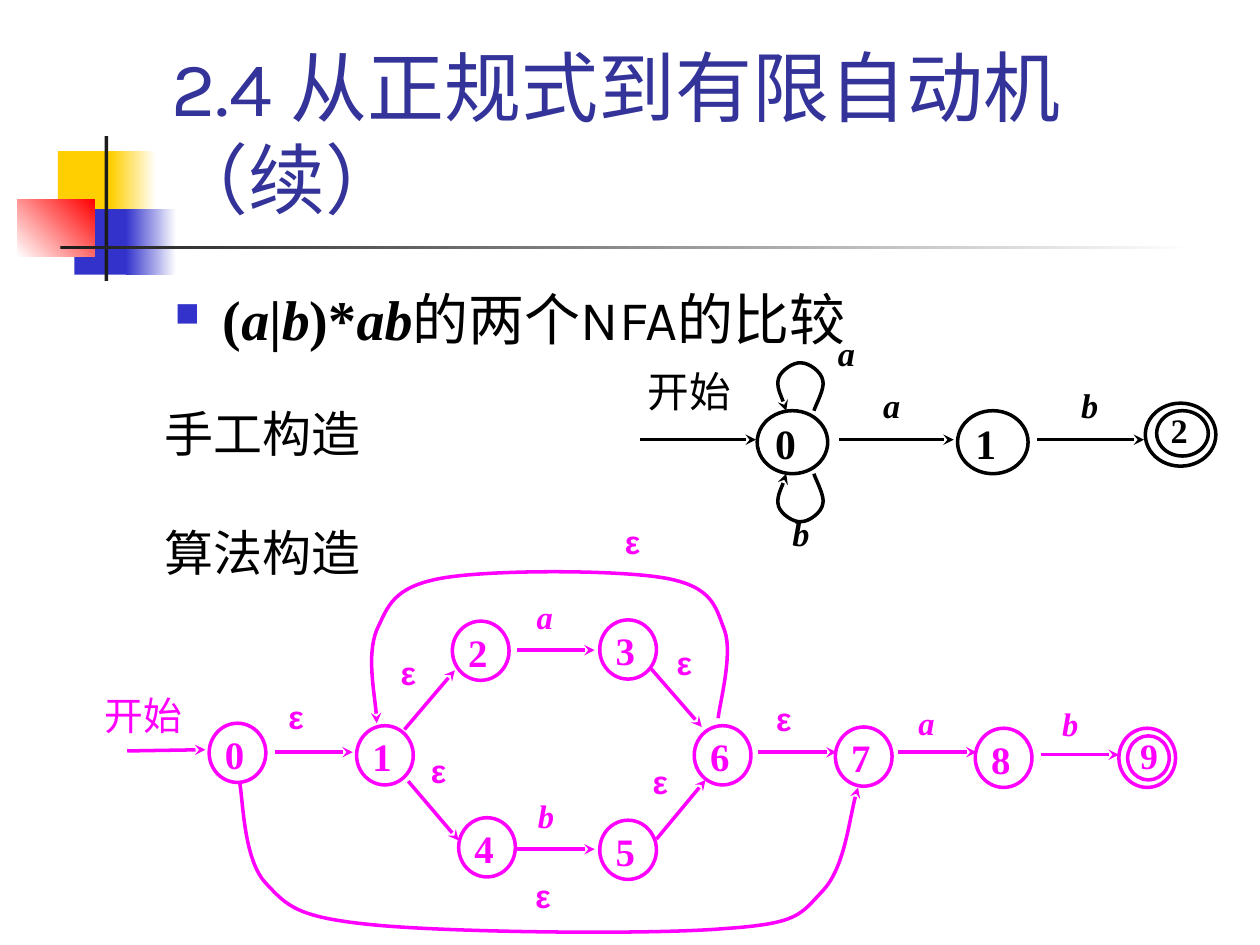
from collections import namedtuple
from lxml.etree import SubElement
from pptx import Presentation
from pptx.dml.color import RGBColor
from pptx.enum.shapes import MSO_CONNECTOR as Connector, MSO_SHAPE as Shape
from pptx.enum.text import MSO_ANCHOR as Anchor, MSO_AUTO_SIZE as AutoSize, PP_ALIGN as Align
from pptx.oxml.ns import qn
from pptx.util import Pt

EMU_PER_PX = 9144
SERIF, SANS, HEADING = "Times New Roman", "Arial", "Karla"
BLACK, MAGENTA, NAVY, BLUE = "000000", "FF00FF", "333399", "3333CC"
YELLOW, RED, WHITE, DARK = "FFCF01", "FF0000", "FFFFFF", "1C1C1C"

Box = namedtuple("Box", "left top width height")
Style = namedtuple("Style", "color state_size state_font final_inner final_font label_size label_font")


def px(value):
    return round(value * EMU_PER_PX)


def color(hex_text):
    return RGBColor.from_string(hex_text)


def place(box, left, top, width, height):
    return [px(value) for value in (box.left + left, box.top + top, width, height)]


def style_font(span, font, size, ink, bold=False, italic=False):
    span.font.name, span.font.size = font, Pt(size)
    span.font.color.rgb = color(ink)
    span.font.bold, span.font.italic = bold, italic


def write(shape, text, font, size, ink, insets=(6, 3, 6, 3), bold=False, italic=False,
          align=Align.LEFT, spacing=1.0):
    frame = shape.text_frame
    frame.text = text
    frame.word_wrap = True
    frame.vertical_anchor = Anchor.TOP
    frame.margin_left, frame.margin_top, frame.margin_right, frame.margin_bottom = map(px, insets)
    para = frame.paragraphs[0]
    para.alignment, para.line_spacing = align, spacing
    style_font(para.runs[0], font, size, ink, bold, italic)
    return frame


def outline(shape, ink):
    shape.line.color.rgb = color(ink)
    shape.line.width = Pt(2)


def add_arrowhead(shape):
    SubElement(shape._element.spPr.find(qn("a:ln")), qn("a:tailEnd"), type="stealth")


def add_block(page, box, rect, *inks, angle=0):
    block = page.shapes.add_shape(Shape.RECTANGLE, *place(box, *rect))
    block.shadow.inherit = False
    block.line.fill.background()
    if len(inks) == 1:
        block.fill.solid()
        block.fill.fore_color.rgb = color(inks[0])
        return
    block.fill.gradient()
    block.fill.gradient_angle = angle
    for position, (stop, ink) in enumerate(zip(block.fill.gradient_stops, inks)):
        stop.position = position
        stop.color.rgb = color(ink)


def add_ornament(page, box):
    add_block(page, box, (32, 12, 48, 52), YELLOW)
    add_block(page, box, (74, 12, 36, 52), YELLOW, WHITE)
    add_block(page, box, (45, 58, 46, 52), BLUE)
    add_block(page, box, (86, 58, 40, 52), BLUE, WHITE)
    add_block(page, box, (0, 50, 61, 46), WHITE, RED, angle=45)
    add_block(page, box, (69, 0, 3, 115), DARK)
    add_block(page, box, (34, 87, 900, 3), DARK, WHITE)


def add_title(page, box):
    shape = page.shapes.add_textbox(*place(box, 0, 0, box.width, box.height))
    frame = write(shape, "2.4 从正规式到有限自动机（续）", HEADING, 44, NAVY, (10, 5, 10, 5))
    frame.vertical_anchor = Anchor.BOTTOM


def add_body(page, box):
    shape = page.shapes.add_textbox(*place(box, 0, 0, box.width, box.height))
    frame = shape.text_frame
    frame.word_wrap = True
    para = frame.paragraphs[0]
    props = para._p.get_or_add_pPr()
    props.set("marL", str(px(38)))
    props.set("indent", str(-px(38)))
    SubElement(SubElement(props, qn("a:buClr")), qn("a:srgbClr"), val=BLUE)
    SubElement(props, qn("a:buSzPct"), val="60000")
    SubElement(props, qn("a:buChar"), char="■")
    for text in ("(", "a", "|", "b", ")*", "ab"):
        span = para.add_run()
        span.text = text
        style_font(span, SERIF, 32, BLACK, bold=True, italic=text.isalpha())
    span = para.add_run()
    span.text = "的两个NFA的比较"
    style_font(span, HEADING, 32, BLACK)


def add_caption(page, box, text):
    shape = page.shapes.add_textbox(*place(box, 0, 0, box.width, box.height))
    frame = write(shape, text, SERIF, 28, BLACK, align=Align.JUSTIFY)
    frame.auto_size = AutoSize.SHAPE_TO_FIT_TEXT


def add_ring(page, box, rect, ink):
    ring = page.shapes.add_shape(Shape.OVAL, *place(box, *rect))
    ring.shadow.inherit = False
    ring.fill.background()
    outline(ring, ink)
    return ring


def add_edge(page, box, start_x, start_y, end_x, end_y, ink):
    start = place(box, start_x, start_y, 0, 0)[:2]
    end = place(box, end_x, end_y, 0, 0)[:2]
    edge = page.shapes.add_connector(Connector.STRAIGHT, *start, *end)
    outline(edge, ink)
    add_arrowhead(edge)
    SubElement(edge._element.spPr, qn("a:effectLst"))


def add_curve(page, box, points, ink):
    start, *rest = [place(box, x, y, 0, 0)[:2] for x, y in points]
    builder = page.shapes.build_freeform(*start)
    builder.add_line_segments(rest, close=False)
    curve = builder.convert_to_shape()
    contour = curve._element.find(".//" + qn("a:path"))
    lines = contour.findall(qn("a:lnTo"))
    for first in range(0, len(lines), 3):
        bezier = SubElement(contour, qn("a:cubicBezTo"))
        for line in lines[first:first + 3]:
            bezier.append(line[0])
            contour.remove(line)
    curve.shadow.inherit = False
    curve.fill.background()
    outline(curve, ink)
    add_arrowhead(curve)


def add_automaton(page, box, style, start, states, final, edges, labels, curves):
    ink = style.color
    for number, corner in enumerate(states):
        ring = add_ring(page, box, (*corner, *style.state_size), ink)
        write(ring, str(number), SERIF, style.state_font, ink, (6, 3, 2, 5), bold=True, spacing=0.9)
    add_ring(page, box, (*final, *style.state_size), ink)
    inner = add_ring(page, box, style.final_inner, ink)
    write(inner, str(len(states)), SERIF, style.final_font, ink, (5, 0, 1, 0),
          bold=True, align=Align.JUSTIFY, spacing=0.8)
    for edge in edges:
        add_edge(page, box, *edge, ink)
    for points in curves:
        add_curve(page, box, points, ink)
    shape = page.shapes.add_textbox(*place(box, *start))
    write(shape, "开始", SERIF, style.state_font, ink, align=Align.JUSTIFY, spacing=0.9)
    for text, corners in labels.items():
        for corner in corners:
            shape = page.shapes.add_textbox(*place(box, *corner, *style.label_size))
            write(shape, text, SANS if text == "ε" else SERIF, style.label_font, ink, bold=True,
                  italic=text != "ε", align=Align.JUSTIFY, spacing=0.8)


def add_manual_nfa(page, box):
    loop = [(138, 59), (139, 55), (147, 41), (145, 35), (144, 28), (134, 21), (128, 21),
            (122, 20), (112, 27), (110, 33), (108, 40), (115, 54), (116, 59)]
    mirrored = [(x, 168 - y) for x, y in loop]
    style = Style(BLACK, (56, 50), 23.8, (410, 59, 41, 36), 19.6, (46, 40), 19.6)
    add_automaton(
        page, box, style, (0, 25, 91, 47), [(93, 59), (252, 59)], (401, 53),
        [(0, 82, 92, 82), (158, 82, 249, 82), (315, 82, 400, 82)],
        {"a": [(187, 41), (151, 0)], "b": [(115, 143), (344, 41)]}, [loop, mirrored])


def add_algorithm_nfa(page, box):
    lower = [(113, 203), (116, 217), (116, 265), (134, 284), (151, 302), (158, 311), (219, 317),
             (280, 323), (439, 325), (498, 320), (557, 316), (558, 309), (576, 290),
             (593, 272), (598, 225), (604, 208)]
    upper = [(493, 153), (494, 142), (505, 102), (498, 83), (491, 65), (489, 49), (452, 42),
             (414, 35), (311, 35), (273, 42), (235, 49), (231, 64), (222, 83),
             (214, 103), (222, 142), (222, 157)]
    style = Style(MAGENTA, (45, 47), 22.2, (818, 167, 33, 35), 20.4, (40, 38), 18.6)
    add_automaton(
        page, box, style, (0, 133, 115, 45),
        [(89, 157), (206, 159), (282, 76), (399, 75), (287, 232), (399, 234),
         (474, 159), (586, 160), (697, 161)], (811, 161),
        [(24, 179, 86, 178), (141, 180, 203, 180), (525, 180, 587, 180), (636, 180, 698, 180),
         (749, 182, 811, 182), (333, 99, 395, 99), (244, 162, 284, 115), (440, 114, 480, 160),
         (444, 249, 483, 202), (247, 203, 287, 250), (333, 257, 395, 257)],
        {"ε": [(146, 139), (235, 104), (259, 182), (454, 96), (435, 191), (342, 281),
               (533, 141), (413, 0)],
         "a": [(343, 60), (646, 144)], "b": [(344, 218), (760, 145)]}, [lower, upper])


def main():
    deck = Presentation()
    deck.slide_width, deck.slide_height = px(1000), px(750)
    page = deck.slides.add_slide(deck.slide_layouts[6])
    add_ornament(page, Box(14, 108, 934, 115))
    add_title(page, Box(126, 23, 852, 160))
    add_body(page, Box(129, 221, 850, 450))
    add_manual_nfa(page, Box(508, 267, 458, 183))
    add_algorithm_nfa(page, Box(77, 417, 856, 325))
    for row, text in enumerate(("手工构造", "算法构造")):
        add_caption(page, Box(125, 317 + 95 * row, 183, 53), text)
    deck.save("out.pptx")


if __name__ == "__main__":
    main()
